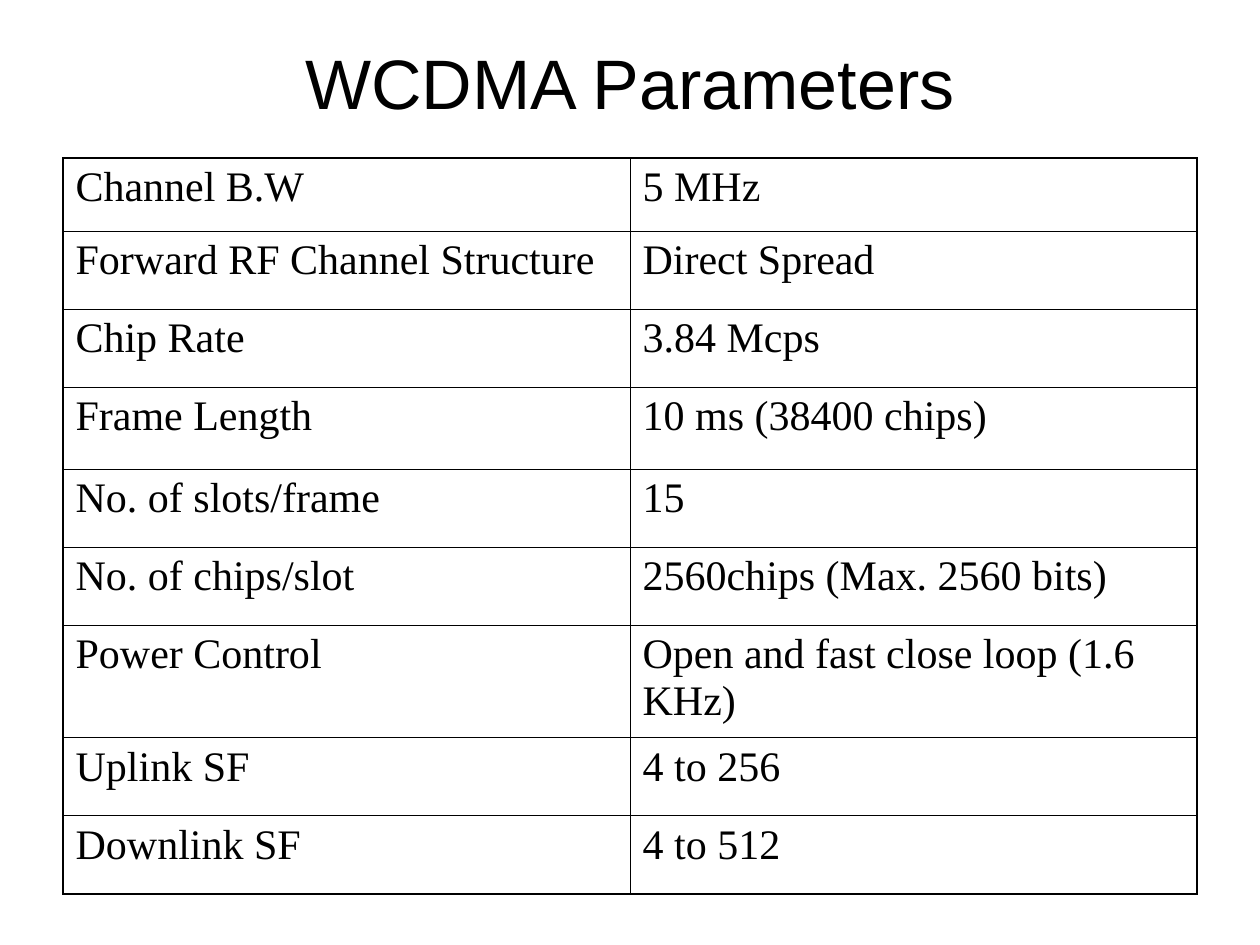
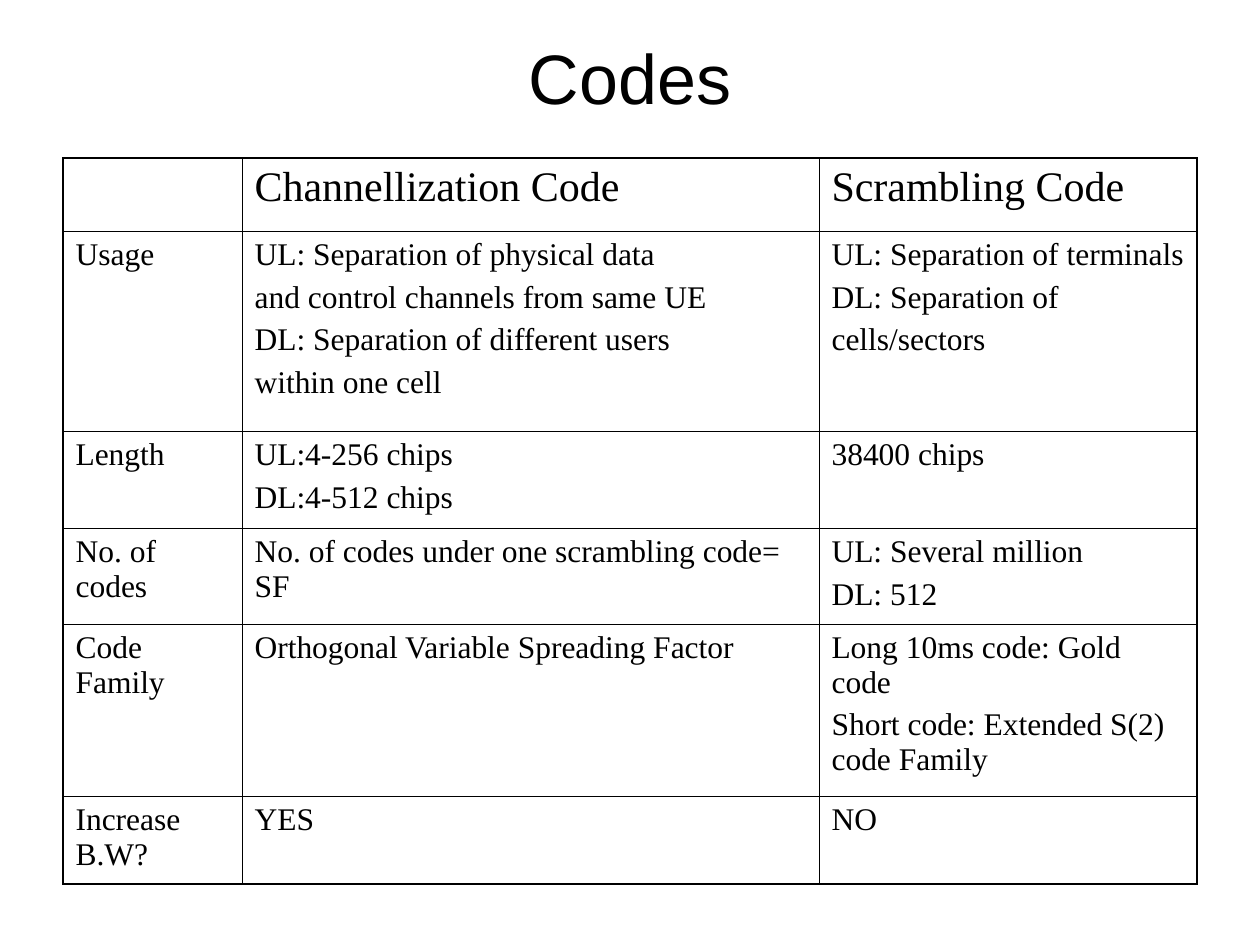
from lxml.etree import SubElement
from pptx import Presentation
from pptx.dml.color import RGBColor
from pptx.enum.text import MSO_ANCHOR as Anchor, MSO_AUTO_SIZE as AutoSize, PP_ALIGN as Align
from pptx.oxml.ns import qn
from pptx.util import Pt

COLORS = {"text": "000000", "line": "000000"}
TITLE_FONT, TABLE_FONT = "Arial", "Times New Roman"
PX_PER_INCH = 126
SLIDE_SIZE = (1260, 945)
LEFT, WIDTH = 63, 1134
TITLE_TOP, TABLE_TOP = 38, 158
OUTER_LINE, INNER_LINE = Pt(1.08), Pt(0.45)
LARGE, SMALL = 24, 18

PARAMETERS = [
    ("Channel B.W", "5 MHz"),
    ("Forward RF Channel Structure", "Direct Spread"),
    ("Chip Rate", "3.84 Mcps"),
    ("Frame Length", "10 ms (38400 chips)"),
    ("No. of slots/frame", "15"),
    ("No. of chips/slot", "2560chips (Max. 2560 bits)"),
    ("Power Control", "Open and fast close loop (1.6 KHz)"),
    ("Uplink SF", "4 to 256"),
    ("Downlink SF", "4 to 512"),
]
CODES = [
    ("", "Channellization Code", "Scrambling Code"),
    ("Usage",
     "UL: Separation of physical data\nand control channels from same UE\n"
     "DL: Separation of different users\nwithin one cell",
     "UL: Separation of terminals\nDL: Separation of\ncells/sectors"),
    ("Length", "UL:4-256 chips\nDL:4-512 chips", "38400 chips"),
    ("No. of codes", "No. of codes under one scrambling code= SF",
     "UL: Several million\nDL: 512"),
    ("Code Family", "Orthogonal Variable Spreading Factor",
     "Long 10ms code: Gold code\nShort code: Extended S(2) code Family"),
    ("Increase B.W?", "YES", "NO"),
]


def px(value):
    return round(value * 914400 / PX_PER_INCH)


def add_run(paragraph, text, font_name, size):
    run = paragraph.add_run()
    run.text = text
    run.font.name = font_name
    run.font.size = Pt(size)
    run.font.color.rgb = RGBColor.from_string(COLORS["text"])


def place_title(slide, text, box):
    title = slide.shapes.title
    title.left, title.top, title.width, title.height = map(px, box)
    frame = title.text_frame
    frame.auto_size = AutoSize.NONE
    frame.vertical_anchor = Anchor.MIDDLE
    paragraph = frame.paragraphs[0]
    paragraph.alignment = Align.CENTER
    add_run(paragraph, text, TITLE_FONT, 40)


def set_borders(cell, outer_sides):
    properties = cell._tc.get_or_add_tcPr()
    for side in "LRTB":
        width = OUTER_LINE if side in outer_sides else INNER_LINE
        line = SubElement(properties, qn(f"a:ln{side}"), w=str(int(width)))
        fill = SubElement(line, qn("a:solidFill"))
        SubElement(fill, qn("a:srgbClr"), val=COLORS["line"])


def fill_cell(cell, text, size):
    cell.fill.background()
    if not text:
        return
    frame = cell.text_frame
    for index, line in enumerate(text.split("\n")):
        paragraph = frame.add_paragraph() if index else frame.paragraphs[0]
        paragraph.space_before = Pt(size / 4 if index else 0)
        add_run(paragraph, line, TABLE_FONT, size)


def place_table(slide, rows, box, column_widths, row_heights, body_size):
    last_row, last_column = len(rows) - 1, len(column_widths) - 1
    table = slide.shapes.add_table(len(rows), len(column_widths), *map(px, box)).table
    table.first_row = table.horz_banding = False
    for column, width in zip(table.columns, column_widths):
        column.width = px(width)
    for row, height in zip(table.rows, row_heights):
        row.height = px(height)
    for r, texts in enumerate(rows):
        for c, text in enumerate(texts):
            edges = {"L": c == 0, "R": c == last_column, "T": r == 0, "B": r == last_row}
            cell = table.cell(r, c)
            set_borders(cell, [side for side, outer in edges.items() if outer])
            fill_cell(cell, text, body_size if r else LARGE)


def add_table_slide(presentation, title, title_height, rows, column_widths,
                    row_heights, body_size):
    slide = presentation.slides.add_slide(presentation.slide_layouts[5])
    place_title(slide, title, (LEFT, TITLE_TOP, WIDTH, title_height))
    place_table(slide, rows, (LEFT, TABLE_TOP, WIDTH, sum(row_heights)),
                column_widths, row_heights, body_size)


def main():
    presentation = Presentation()
    presentation.slide_width, presentation.slide_height = map(px, SLIDE_SIZE)
    add_table_slide(presentation, "WCDMA Parameters", 88, PARAMETERS,
                    [WIDTH // 2] * 2, [73, 78, 78, 82, 78, 78, 113, 78, 78], LARGE)
    add_table_slide(presentation, "Codes", 77, CODES,
                    [179, 577, 378], [73, 200, 97, 96, 172, 88], SMALL)
    presentation.save("out.pptx")


if __name__ == "__main__":
    main()
